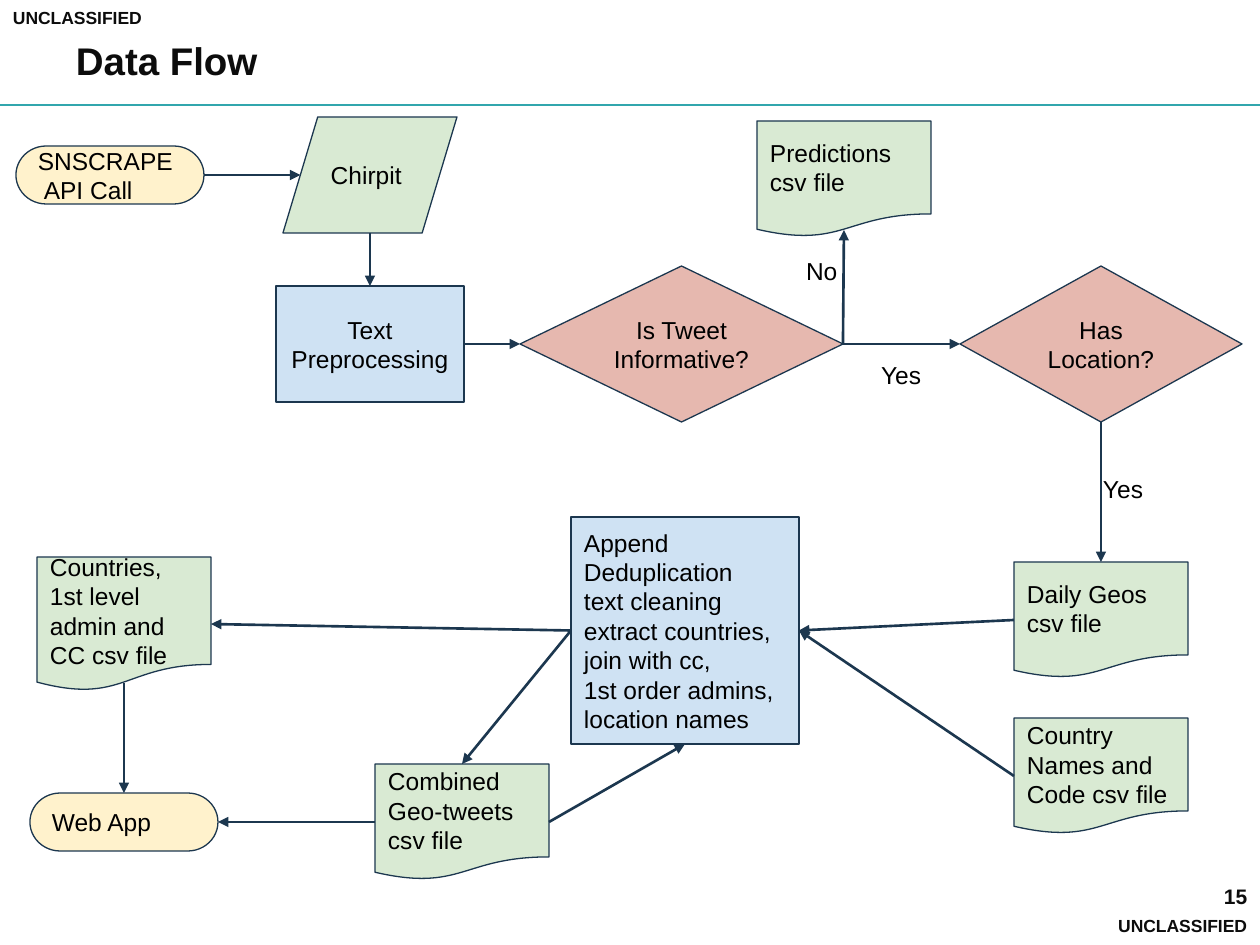
from dataclasses import dataclass

from lxml.etree import SubElement
from pptx import Presentation
from pptx.dml.color import RGBColor
from pptx.enum.shapes import MSO_CONNECTOR, MSO_SHAPE
from pptx.enum.text import MSO_ANCHOR, PP_ALIGN
from pptx.oxml.ns import qn
from pptx.util import Pt

SCALE = 914400 / 126
COLORS = {
    "ink": "0C0C0C", "black": "000000", "rule": "31A6AD", "navy": "1C374F",
    "green": "D9EAD3", "yellow": "FFF2CC", "blue": "CFE2F3", "red": "E6B8AF",
}
KINDS = {
    "data": (MSO_SHAPE.FLOWCHART_DATA, "green"),
    "terminal": (MSO_SHAPE.FLOWCHART_TERMINATOR, "yellow"),
    "process": (MSO_SHAPE.FLOWCHART_PROCESS, "blue"),
    "decision": (MSO_SHAPE.FLOWCHART_DECISION, "red"),
    "file": (MSO_SHAPE.FLOWCHART_DOCUMENT, "green"),
}
SIDES = {"top": (0.5, 0), "left": (0, 0.5), "bottom": (0.5, 1), "right": (1, 0.5)}
SPECIAL_SIDES = {("file", "bottom"): (0.5, 0.94), ("data", "left"): (0.1, 0.5)}


@dataclass
class Node:
    kind: str
    text: str
    left: int
    top: int
    width: int = 174
    height: int = 116
    align: PP_ALIGN = PP_ALIGN.LEFT
    last_indent: int = 0


@dataclass
class Label:
    text: str
    left: int
    top: int
    width: int = 67
    height: int = 55
    size: int = 14
    bold: bool = False
    color: str = "black"
    align: PP_ALIGN = PP_ALIGN.LEFT
    anchor: MSO_ANCHOR = MSO_ANCHOR.TOP
    inset: int = 13


@dataclass
class Arrow:
    start: str
    start_side: str
    end: str
    end_side: str


NODES = {
    "source": Node("data", "Chirpit", 283, 117),
    "scrape": Node("terminal", "SNSCRAPE\nAPI Call", 16, 146, 188, 58, last_indent=6),
    "prepare": Node("process", "Text\nPreprocessing", 276, 286, 188, align=PP_ALIGN.CENTER),
    "informative": Node("decision", "Is Tweet Informative?", 520, 266, 323, 156, PP_ALIGN.CENTER),
    "located": Node("decision", "Has Location?", 960, 266, 282, 156, PP_ALIGN.CENTER),
    "predictions": Node("file", "Predictions csv file", 757, 121),
    "daily": Node("file", "Daily Geos csv file", 1014, 562),
    "append": Node("process", "Append\nDeduplication\ntext cleaning\nextract countries,\n"
                   "join with cc,\n1st order admins,\nlocation names", 571, 517, 228, 227),
    "combined": Node("file", "Combined Geo-tweets csv file", 375, 764),
    "web": Node("terminal", "Web App", 30, 793, 188, 58),
    "codes": Node("file", "Country Names and Code csv file", 1014, 718),
    "countries": Node("file", "Countries, 1st level admin and CC csv file", 37, 557, height=134),
}
ARROWS = [
    Arrow("scrape", "right", "source", "left"),
    Arrow("source", "bottom", "prepare", "top"),
    Arrow("prepare", "right", "informative", "left"),
    Arrow("informative", "right", "located", "left"),
    Arrow("informative", "right", "predictions", "bottom"),
    Arrow("located", "bottom", "daily", "top"),
    Arrow("daily", "left", "append", "right"),
    Arrow("codes", "left", "append", "right"),
    Arrow("append", "left", "countries", "right"),
    Arrow("append", "left", "combined", "top"),
    Arrow("combined", "right", "append", "bottom"),
    Arrow("combined", "left", "web", "right"),
    Arrow("countries", "bottom", "web", "top"),
]
HEADING = {"bold": True, "color": "ink", "anchor": MSO_ANCHOR.MIDDLE, "inset": 6}
LABELS = [
    Label("UNCLASSIFIED", 0, 0, 746, 34, 10, **HEADING),
    Label("UNCLASSIFIED", 494, 907, 766, 38, 10, align=PP_ALIGN.RIGHT, **HEADING),
    Label("15", 1211, 877, 53, 38, 12, **HEADING),
    Label("Data Flow", 63, 29, 1029, 63, 22, **HEADING),
    Label("Yes", 868, 347),
    Label("No", 793, 243),
    Label("Yes", 1090, 461),
]


def px(value: float) -> int:
    return round(value * SCALE)


def rgb(name: str) -> RGBColor:
    return RGBColor.from_string(COLORS[name])


def apply(target, values: dict) -> None:
    for name, value in values.items():
        setattr(target, name, value)


def write_text(box, text: str, align: PP_ALIGN, anchor: MSO_ANCHOR, inset: int = 13,
               size: int = 14, bold: bool = False, color: str = "black") -> None:
    frame = box.text_frame
    apply(frame, {
        "text": text, "word_wrap": True, "vertical_anchor": anchor,
        "margin_left": px(13), "margin_right": px(13),
        "margin_top": px(inset), "margin_bottom": px(inset),
    })
    for para in frame.paragraphs:
        para.alignment = align
        for span in para.runs:
            apply(span.font, {"name": "Arial", "size": Pt(size), "bold": bold})
            span.font.color.rgb = rgb(color)


def draw_node(page, node: Node) -> None:
    preset, fill = KINDS[node.kind]
    box = page.shapes.add_shape(preset, *map(px, (node.left, node.top, node.width, node.height)))
    box.shadow.inherit = False
    box.fill.solid()
    box.fill.fore_color.rgb = rgb(fill)
    box.line.color.rgb = rgb("navy")
    box.line.width = Pt(0.75)
    write_text(box, node.text, node.align, MSO_ANCHOR.MIDDLE)
    if node.last_indent:
        last = box.text_frame.paragraphs[-1]._p.get_or_add_pPr()
        last.set("marL", str(px(node.last_indent)))


def draw_label(page, label: Label) -> None:
    box = page.shapes.add_textbox(*map(px, (label.left, label.top, label.width, label.height)))
    write_text(box, label.text, label.align, label.anchor, label.inset,
               label.size, label.bold, label.color)


def draw_line(page, start: tuple, end: tuple, color: str, arrowhead: bool) -> None:
    line = page.shapes.add_connector(MSO_CONNECTOR.STRAIGHT, *map(px, start + end))
    line.line.color.rgb = rgb(color)
    line.line.width = Pt(1.5)
    if arrowhead:
        SubElement(line.line._get_or_add_ln(), qn("a:tailEnd"), type="triangle")
    SubElement(line._element.spPr, qn("a:effectLst"))


def side_point(name: str, side: str) -> tuple:
    node = NODES[name]
    across, down = SPECIAL_SIDES.get((node.kind, side), SIDES[side])
    return node.left + across * node.width, node.top + down * node.height


def main() -> None:
    deck = Presentation()
    apply(deck, {"slide_width": px(1260), "slide_height": px(945)})
    page = deck.slides.add_slide(deck.slide_layouts[6])
    draw_line(page, (0, 105), (1260, 105), "rule", False)
    for node in NODES.values():
        draw_node(page, node)
    for arrow in ARROWS:
        draw_line(page, side_point(arrow.start, arrow.start_side),
                  side_point(arrow.end, arrow.end_side), "navy", True)
    for label in LABELS:
        draw_label(page, label)
    deck.save("out.pptx")


if __name__ == "__main__":
    main()
